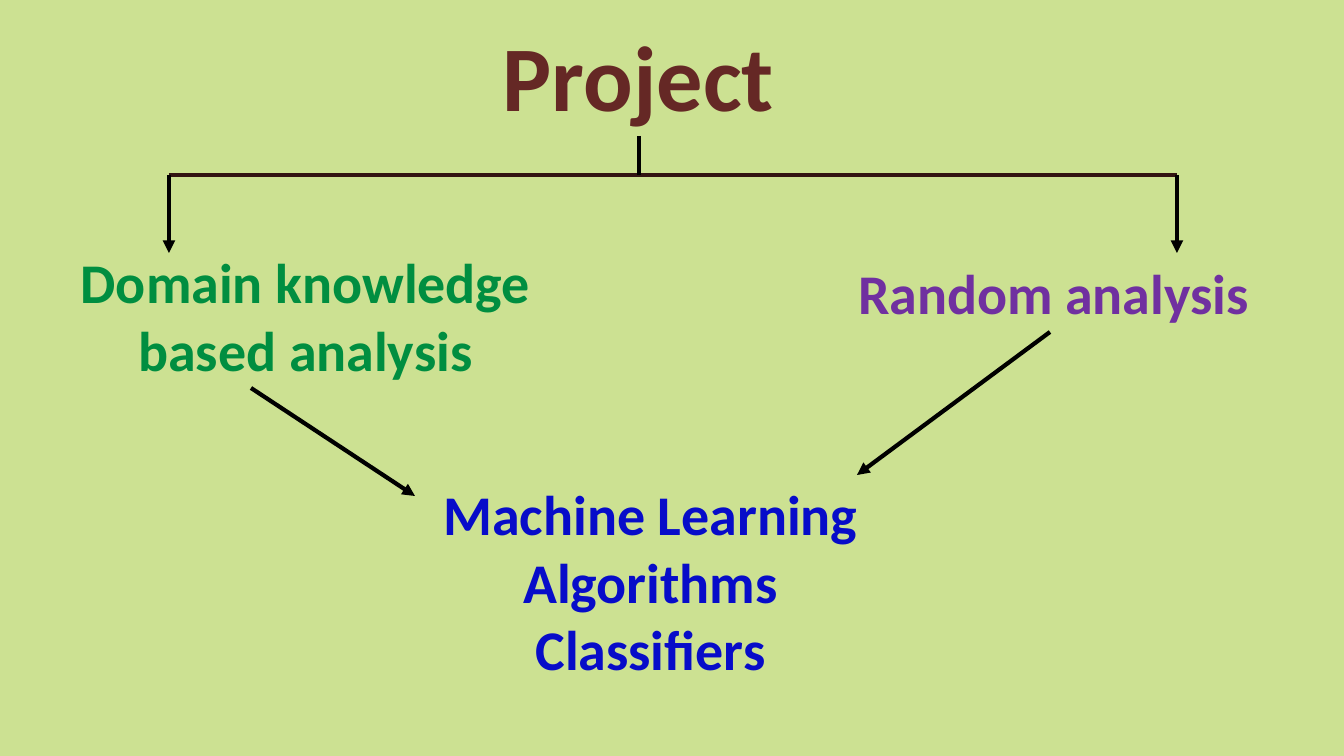
from lxml import etree
from pptx import Presentation, util as u
from pptx.dml.color import RGBColor
from pptx.enum import shapes, text
from pptx.oxml import ns

THEME = {
    "font": "Calibri",
    "back": "CCE192",
    "line": "000000",
    "bar": "321412",
    "title": "652825",
    "domain": "008E40",
    "random": "7030A0",
    "learn": "070CC9",
    "big": 66,
    "body": 40,
    "width": 3,
}

WIDE, HIGH = 1344, 756
LEFT, MID, RIGHT = 169, 639, 1177
TOP, BAR, TIP = 136, 175, 253

LABELS = [
    (["Project"], "title", "big", (101, 14, 1075, 122)),
    (["Domain knowledge based analysis"], "domain", "body", (41, 243, 529, 146)),
    (["Random analysis"], "random", "body", (789, 254, 529, 78)),
    (["Machine Learning Algorithms", "Classifiers"], "learn", "body",
     (386, 475, 529, 281)),
]

LINES = [
    ((1050, 332), (857, 475), "line", True),
    ((251, 388), (415, 496), "line", True),
    ((LEFT, BAR), (RIGHT, BAR), "bar", False),
    ((LEFT, BAR), (LEFT, TIP), "line", True),
    ((RIGHT, BAR), (RIGHT, TIP), "line", True),
    ((MID, TOP), (MID, BAR), "line", False),
]


def px(n):
    return u.Emu(round(n * 914400 / 100.8))


def tint(name):
    return RGBColor.from_string(THEME[name])


def label(slide, paras, color, size, box):
    frame = slide.shapes.add_textbox(*map(px, box)).text_frame
    frame.word_wrap = True
    frame.text = "\n".join(paras)
    style = {"name": THEME["font"], "size": u.Pt(THEME[size]), "bold": True}
    for para in frame.paragraphs:
        para.alignment = text.PP_ALIGN.CENTER
        font = para.runs[0].font
        for key, value in style.items():
            setattr(font, key, value)
        font.color.rgb = tint(color)


def link(slide, start, end, color, arrow):
    wire = slide.shapes.add_connector(
        shapes.MSO_CONNECTOR.STRAIGHT, *map(px, start + end))
    wire.line.width = u.Pt(THEME["width"])
    wire.line.color.rgb = tint(color)
    if arrow:
        etree.SubElement(wire.line._get_or_add_ln(), ns.qn("a:tailEnd"),
                         type="triangle")
    etree.SubElement(wire._element.spPr, ns.qn("a:effectLst"))


def main():
    deck = Presentation()
    deck.slide_width, deck.slide_height = px(WIDE), px(HIGH)
    slide = deck.slides.add_slide(deck.slide_layouts[6])
    fill = slide.background.fill
    fill.solid()
    fill.fore_color.rgb = tint("back")
    for item in LABELS:
        label(slide, *item)
    for item in LINES:
        link(slide, *item)
    deck.save("out.pptx")


if __name__ == "__main__":
    main()
